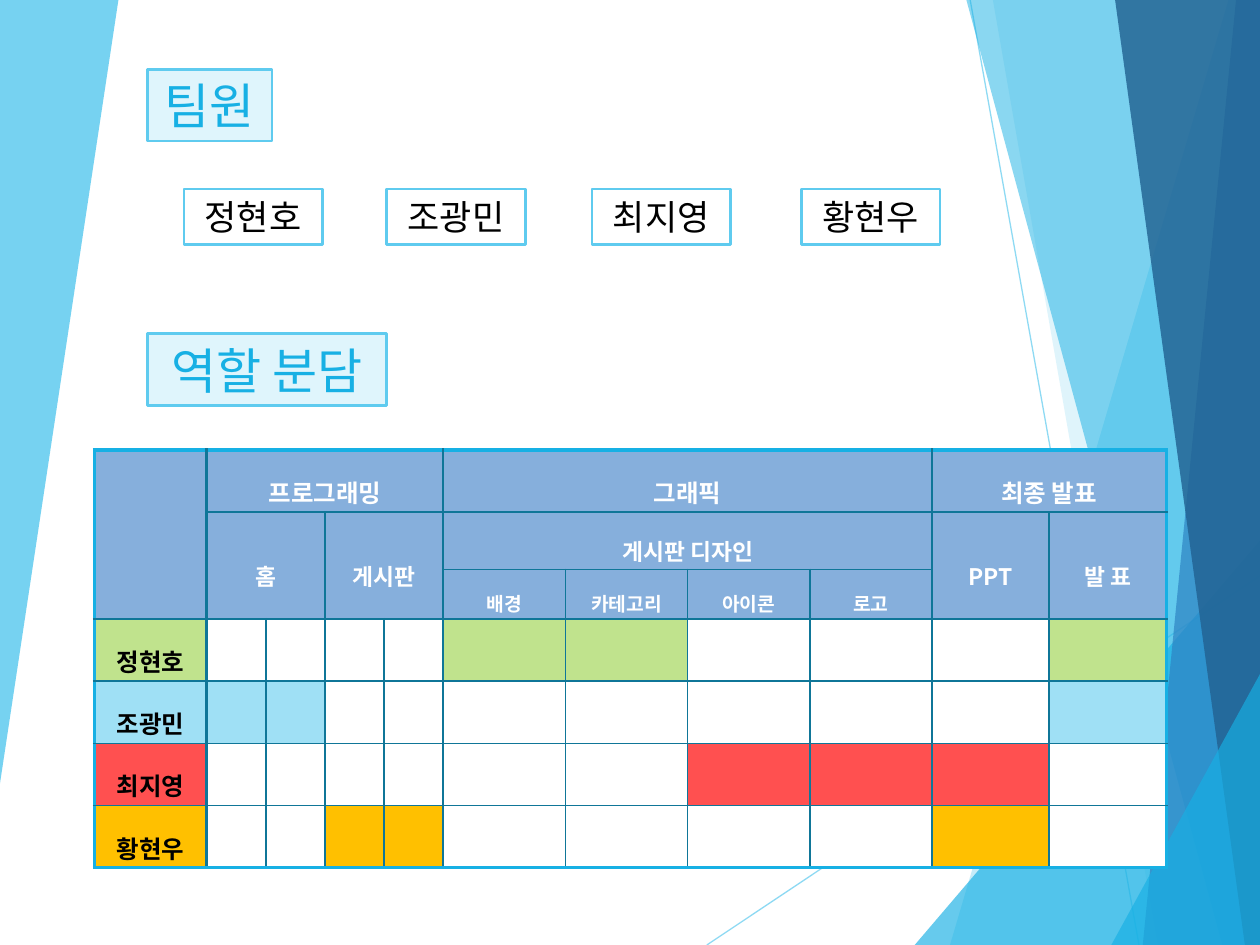
from dataclasses import dataclass

from lxml.etree import SubElement
from pptx import Presentation
from pptx.dml.color import RGBColor
from pptx.enum.shapes import MSO_CONNECTOR, MSO_SHAPE
from pptx.enum.text import MSO_ANCHOR, PP_ALIGN
from pptx.oxml.ns import qn
from pptx.util import Inches, Pt

WIDTH, HEIGHT = Inches(10), Inches(7.5)


@dataclass(frozen=True)
class Theme:
    font: str = "Noto Sans CJK KR"
    name_font: str = "Roboto"
    sky: str = "5FCBEF"
    cyan: str = "17B0E4"
    blue: str = "2E83C3"
    navy: str = "226292"
    pale: str = "DFF5FC"
    teal: str = "0F7698"
    header: str = "86AFDC"
    white: str = "FFFFFF"
    black: str = "000000"
    title: int = 28
    name: int = 20
    group: int = 14
    task: int = 13
    detail: int = 11


T = Theme()

# Points in percent of the slide's width and height, colour, opacity in percent
FACETS = [
    ([(97.5, 0), (75.4, 100), (100, 100), (100, 0)], T.sky, 36),
    ([(78.8, 0), (91.9, 100), (100, 100), (100, 0)], T.sky, 20),
    ([(72.6, 100), (100, 57.2), (100, 100)], T.cyan, 66),
    ([(76.7, 0), (97, 100), (100, 100), (100, 0)], T.cyan, 50),
    ([(98.1, 0), (90.7, 100), (100, 100), (100, 0)], T.blue, 70),
    ([(88.5, 0), (98.8, 100), (100, 100), (100, 0)], T.navy, 82),
    ([(88.2, 100), (100, 71.33), (100, 100)], T.cyan, 66),
    ([(0, 0), (9.4, 0), (0, 82.93)], T.sky, 85),
]
RAYS = [((56.1, 100), (100, 60.93)), ((77, 0), (90.4, 100))]

# Member, left edge of the name box, colour, assigned table columns
MEMBERS = [
    ("정현호", 14.6, "C0E38D", {5, 6, 10}),
    ("조광민", 30.7, "9FE0F5", {1, 2, 10}),
    ("최지영", 47, "FF5050", {7, 8, 9}),
    ("황현우", 63.6, "FFC000", {3, 4, 9}),
]

# Row, column, row span, column span, label, type size
HEADERS = [
    (0, 0, 3, 1, "", T.group),
    (0, 1, 1, 4, "프로그래밍", T.group),
    (0, 5, 1, 4, "그래픽", T.group),
    (0, 9, 1, 2, "최종 발표", T.group),
    (1, 1, 2, 2, "홈", T.task),
    (1, 3, 2, 2, "게시판", T.task),
    (1, 5, 1, 4, "게시판 디자인", T.task),
    (1, 9, 2, 1, "PPT", T.task),
    (1, 10, 2, 1, "발 표", T.task),
    (2, 5, 1, 1, "배경", T.detail),
    (2, 6, 1, 1, "카테고리", T.detail),
    (2, 7, 1, 1, "아이콘", T.detail),
    (2, 8, 1, 1, "로고", T.detail),
]
COLUMNS = [8.9] + [4.7] * 4 + [9.7] * 4 + [9.3] * 2
ROWS = [5.6, 4.93, 4.67] + [6.53] * len(MEMBERS)
GROUP_COLUMNS, GROUP_ROWS = {1, 5, 9}, {3}


def x(share):
    return round(WIDTH * share / 100)


def y(share):
    return round(HEIGHT * share / 100)


def rgb(color):
    return RGBColor.from_string(color)


def set_opacity(sp, percent):
    for clr in sp._element.iter(qn("a:srgbClr")):
        SubElement(clr, qn("a:alpha"), val=str(percent * 1000))


def add_facet(s, points, color, opacity):
    start, *rest = [(x(px), y(py)) for px, py in points]
    builder = s.shapes.build_freeform(*start, scale=1.0)
    builder.add_line_segments(rest, close=True)
    sp = builder.convert_to_shape()
    sp.shadow.inherit = False
    sp.fill.solid()
    sp.fill.fore_color.rgb = rgb(color)
    sp.line.fill.background()
    set_opacity(sp, opacity)


def add_ray(s, start, end):
    line = s.shapes.add_connector(MSO_CONNECTOR.STRAIGHT, x(start[0]), y(start[1]),
                                  x(end[0]), y(end[1]))
    line.line.color.rgb = rgb(T.sky)
    line.line.width = Pt(0.75)
    SubElement(line._element.spPr, qn("a:effectLst"))
    set_opacity(line, 70)


def write(tf, text, size, color, font, bold=False):
    p = tf.paragraphs[0]
    p.alignment = PP_ALIGN.CENTER
    r = p.add_run()
    r.text = text
    r.font.size = Pt(size)
    r.font.bold = bold
    r.font.color.rgb = rgb(color)
    r.font.name = font
    SubElement(r._r.get_or_add_rPr(), qn("a:ea"), typeface=font)
    return p


def add_box(s, text, left, top, width, height, size, color, font, fill=None):
    sp = s.shapes.add_shape(MSO_SHAPE.RECTANGLE, x(left), y(top), x(width), y(height))
    sp.shadow.inherit = False
    if fill:
        sp.fill.solid()
        sp.fill.fore_color.rgb = rgb(fill)
    else:
        sp.fill.background()
    sp.line.color.rgb = rgb(T.sky)
    sp.line.width = Pt(1.5)
    tf = sp.text_frame
    tf.word_wrap = fill is None
    tf.vertical_anchor = MSO_ANCHOR.MIDDLE
    write(tf, text, size, color, font)


def border(index, last, group_edges):
    """Colour and weight of the grid line with this index."""
    if index in (0, last):
        return T.cyan, 2.25
    return T.teal, 1.5 if index in group_edges else 1


def style_cell(table, row, col, fill, text="", size=T.group, color=T.white,
               row_span=1, col_span=1):
    cell = table.cell(row, col)
    if row_span * col_span > 1:
        cell.merge(table.cell(row + row_span - 1, col + col_span - 1))
    cell.margin_left = cell.margin_right = Inches(0.06)
    cell.margin_top = cell.margin_bottom = Inches(0.02)
    cell.vertical_anchor = MSO_ANCHOR.MIDDLE
    edges = {
        "L": border(col, len(COLUMNS), GROUP_COLUMNS),
        "R": border(col + col_span, len(COLUMNS), GROUP_COLUMNS),
        "T": border(row, len(ROWS), GROUP_ROWS),
        "B": border(row + row_span, len(ROWS), GROUP_ROWS),
    }
    for side, (line_color, weight) in edges.items():
        ln = SubElement(cell._tc.get_or_add_tcPr(), qn(f"a:ln{side}"), w=str(Pt(weight)))
        SubElement(SubElement(ln, qn("a:solidFill")), qn("a:srgbClr"), val=line_color)
    cell.fill.solid()
    cell.fill.fore_color.rgb = rgb(fill)
    if text:
        write(cell.text_frame, text, size, color, T.font, bold=True).line_spacing = 1.6


def add_role_table(s):
    table = s.shapes.add_table(len(ROWS), len(COLUMNS), x(7.5), y(47.6),
                               x(sum(COLUMNS)), y(sum(ROWS))).table
    table.first_row = table.horz_banding = False
    for column, width in zip(table.columns, COLUMNS):
        column.width = x(width)
    for row, height in zip(table.rows, ROWS):
        row.height = y(height)
    for row, col, row_span, col_span, label, size in HEADERS:
        style_cell(table, row, col, T.header, label, size,
                   row_span=row_span, col_span=col_span)
    for row, (name, _, color, tasks) in enumerate(MEMBERS, start=3):
        style_cell(table, row, 0, color, name, color=T.black)
        for col in range(1, len(COLUMNS)):
            style_cell(table, row, col, color if col in tasks else T.white)


def main():
    prs = Presentation()
    prs.slide_width, prs.slide_height = WIDTH, HEIGHT
    s = prs.slides.add_slide(prs.slide_layouts[6])
    for ray in RAYS:
        add_ray(s, *ray)
    for facet in FACETS:
        add_facet(s, *facet)
    add_role_table(s)
    for title, top, width in [("역할 분담", 35.33, 19), ("팀원", 7.33, 9.9)]:
        add_box(s, title, 11.7, top, width, 7.6, T.title, T.cyan, T.font, T.pale)
    for name, left, _, _ in MEMBERS:
        add_box(s, name, left, 20, 11, 5.87, T.name, T.black, T.name_font)
    prs.save("out.pptx")


if __name__ == "__main__":
    main()
